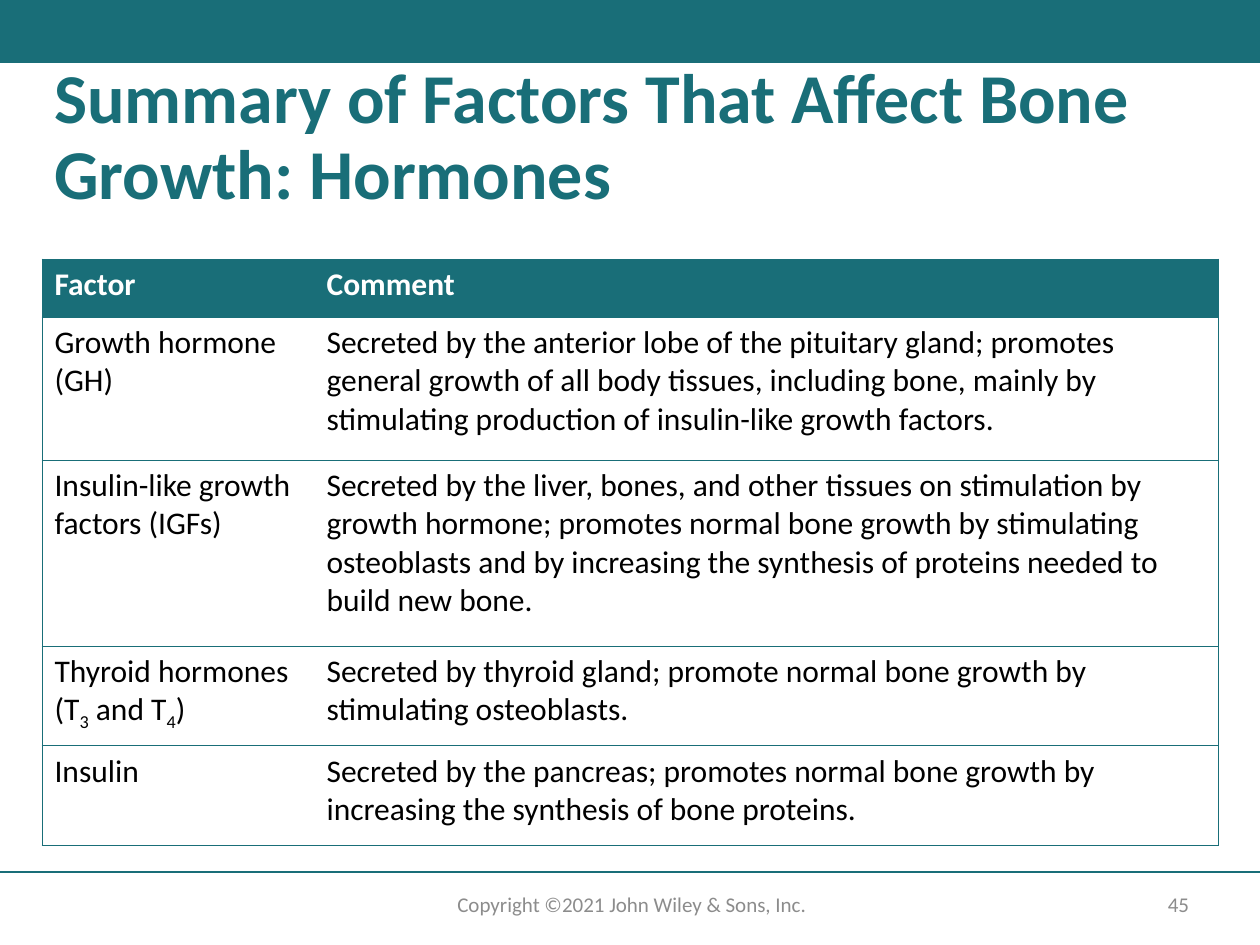
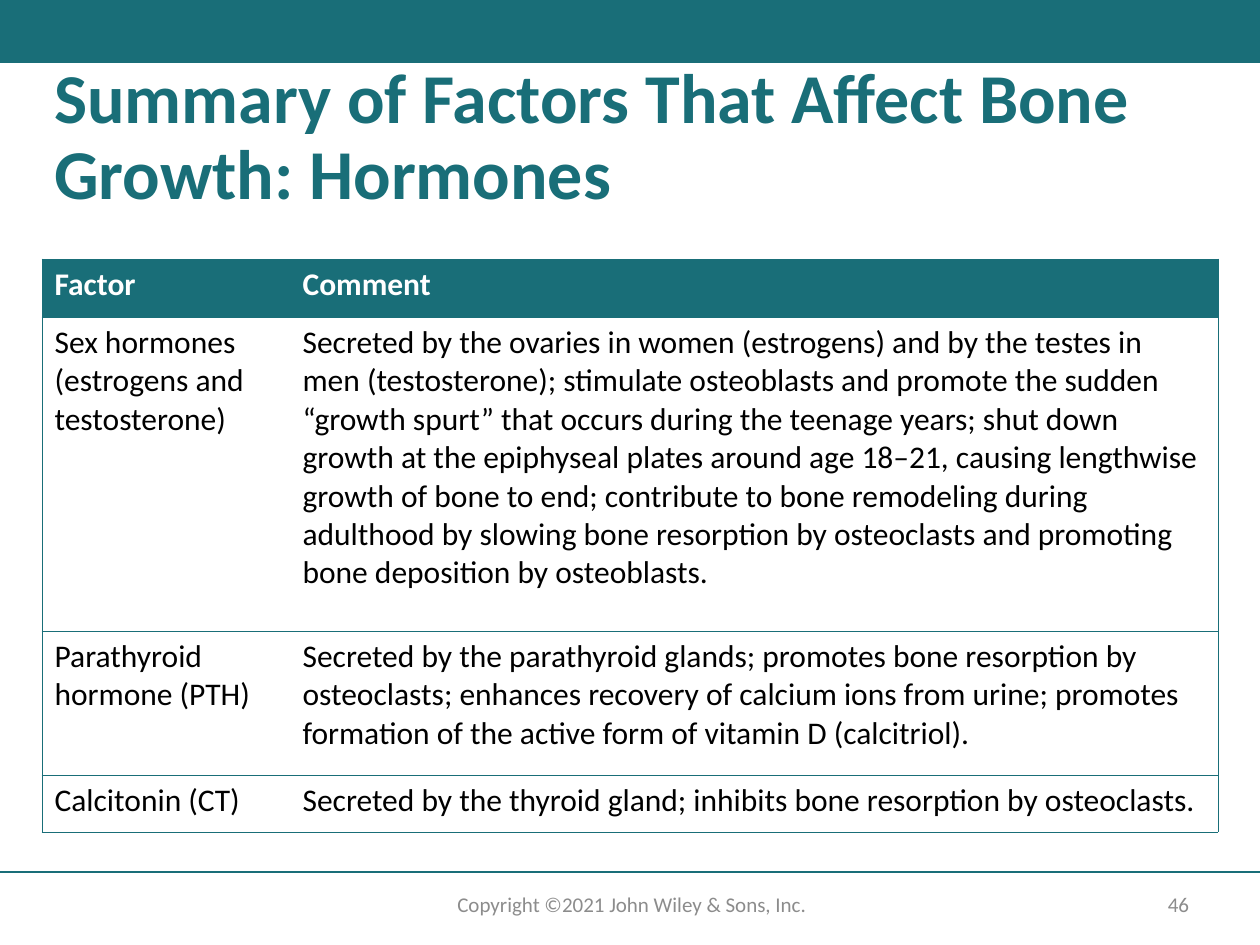
from pptx import Presentation
from pptx.dml.color import RGBColor
from pptx.enum.shapes import MSO_CONNECTOR, MSO_SHAPE
from pptx.enum.text import MSO_ANCHOR as ANCHOR, MSO_AUTO_SIZE as AUTO, PP_ALIGN as ALIGN
from pptx.oxml.ns import qn
from pptx.util import Pt
from lxml.etree import SubElement

PX = 914400 / 126
WIDTH, HEIGHT = 1260, 945
FONT = "Calibri"
TEAL, GREY, WHITE, BLACK = "196E78", "8C8C8C", "FFFFFF", "000000"

TITLE = "Summary of Factors That Affect Bone Growth: Hormones"
COPYRIGHT = "Copyright ©2021 John Wiley & Sons, Inc."
HEADER = ("Factor", "Comment")


def px(n):
    return round(n * PX)


def rgb(color):
    return RGBColor.from_string(color)


class Deck:
    def __init__(self):
        self.prs = Presentation()
        self.prs.slide_width, self.prs.slide_height = px(WIDTH), px(HEIGHT)

    def slide(self, number):
        self.s = self.prs.slides.add_slide(self.prs.slide_layouts[6])
        # Top band, footer rule, footer texts and title
        self.band(0, 0, WIDTH, 63)
        self.rule(0, 872, WIDTH)
        footer = dict(size=12, color=GREY, align=ALIGN.CENTER)
        self.text(COPYRIGHT, 406, 885, 452, 38, **footer).auto_size = AUTO.SHAPE_TO_FIT_TEXT
        self.text(str(number), 1140, 887, 77, 35, **footer).vertical_anchor = ANCHOR.MIDDLE
        tf = self.text(TITLE, 42, 57, 1176, 154, size=40, color=TEAL, bold=True)
        tf.paragraphs[0].line_spacing = 0.9

    def band(self, x, y, w, h):
        sp = self.s.shapes.add_shape(MSO_SHAPE.RECTANGLE, px(x), px(y), px(w), px(h))
        sp.shadow.inherit = False
        sp.fill.solid()
        sp.fill.fore_color.rgb = rgb(TEAL)
        sp.line.fill.background()

    def rule(self, x, y, w):
        line = self.s.shapes.add_connector(MSO_CONNECTOR.STRAIGHT, px(x), px(y), px(x + w), px(y))
        line.line.color.rgb = rgb(TEAL)
        line.line.width = Pt(1)
        SubElement(line._element.spPr, qn("a:effectLst"))

    def text(self, text, x, y, w, h, **style):
        tf = self.s.shapes.add_textbox(px(x), px(y), px(w), px(h)).text_frame
        tf.word_wrap = True
        self.paragraph(tf, text, **style)
        return tf

    def paragraph(self, tf, text, size, color, bold=False, align=ALIGN.LEFT):
        """Fill one paragraph; the character after each "_" is a subscript."""
        p = tf.paragraphs[0]
        p.alignment = align
        start, *rest = text.split("_")
        p.add_run().text = start
        for part in rest:
            r = p.add_run()
            r.text = part[0]
            r._r.get_or_add_rPr().set("baseline", "-25000")
            p.add_run().text = part[1:]
        p.font.name, p.font.size = FONT, Pt(size)
        p.font.bold, p.font.color.rgb = bold, rgb(color)

    def table(self, x, y, widths, heights, rows):
        frame = self.s.shapes.add_table(len(rows), len(widths), px(x), px(y),
                                        px(sum(widths)), px(sum(heights)))
        table = frame.table
        table.first_row = table.horz_banding = False
        for column, width in zip(table.columns, widths):
            column.width = px(width)
        for i, (row, height) in enumerate(zip(rows, heights)):
            table.rows[i].height = px(height)
            for j, text in enumerate(row):
                cell = table.cell(i, j)
                self.borders(cell, lnL=j == 0, lnR=j == len(row) - 1, lnT=True, lnB=True)
                if i == 0:
                    cell.fill.solid()
                    cell.fill.fore_color.rgb = rgb(TEAL)
                else:
                    cell.fill.background()
                self.paragraph(cell.text_frame, text, 18, BLACK if i else WHITE, bold=i == 0)

    def borders(self, cell, **edges):
        tcPr = cell._tc.get_or_add_tcPr()
        for edge, visible in edges.items():
            ln = SubElement(tcPr, qn(f"a:{edge}"), w=str(Pt(0.5)))
            if visible:
                fill = SubElement(ln, qn("a:solidFill"))
                SubElement(fill, qn("a:srgbClr"), val=TEAL)
            else:
                SubElement(ln, qn("a:noFill"))


# Page number, column widths, row heights, body rows
PAGES = [
    (45, (272, 904), (58, 143, 186, 100, 100), [
        ("Growth hormone (GH)",
         "Secreted by the anterior lobe of the pituitary gland; promotes general growth of "
         "all body tissues, including bone, mainly by stimulating production of "
         "insulin-like growth factors."),
        ("Insulin-like growth factors (IGFs)",
         "Secreted by the liver, bones, and other tissues on stimulation by growth hormone; "
         "promotes normal bone growth by stimulating osteoblasts and by increasing the "
         "synthesis of proteins needed to build new bone."),
        ("Thyroid hormones (T_3 and T_4)",
         "Secreted by thyroid gland; promote normal bone growth by stimulating osteoblasts."),
        ("Insulin",
         "Secreted by the pancreas; promotes normal bone growth by increasing the synthesis "
         "of bone proteins."),
    ]),
    (46, (248, 928), (58, 314, 144, 57), [
        ("Sex hormones (estrogens and testosterone)",
         "Secreted by the ovaries in women (estrogens) and by the testes in men "
         "(testosterone); stimulate osteoblasts and promote the sudden “growth spurt” that "
         "occurs during the teenage years; shut down growth at the epiphyseal plates around "
         "age 18–21, causing lengthwise growth of bone to end; contribute to bone remodeling "
         "during adulthood by slowing bone resorption by osteoclasts and promoting bone "
         "deposition by osteoblasts."),
        ("Parathyroid hormone (PTH)",
         "Secreted by the parathyroid glands; promotes bone resorption by osteoclasts; "
         "enhances recovery of calcium ions from urine; promotes formation of the active "
         "form of vitamin D (calcitriol)."),
        ("Calcitonin (CT)",
         "Secreted by the thyroid gland; inhibits bone resorption by osteoclasts."),
    ]),
]


def main():
    deck = Deck()
    for number, widths, heights, rows in PAGES:
        deck.slide(number)
        deck.table(42, 259, widths, heights, [HEADER, *rows])
    deck.prs.save("out.pptx")


if __name__ == "__main__":
    main()
